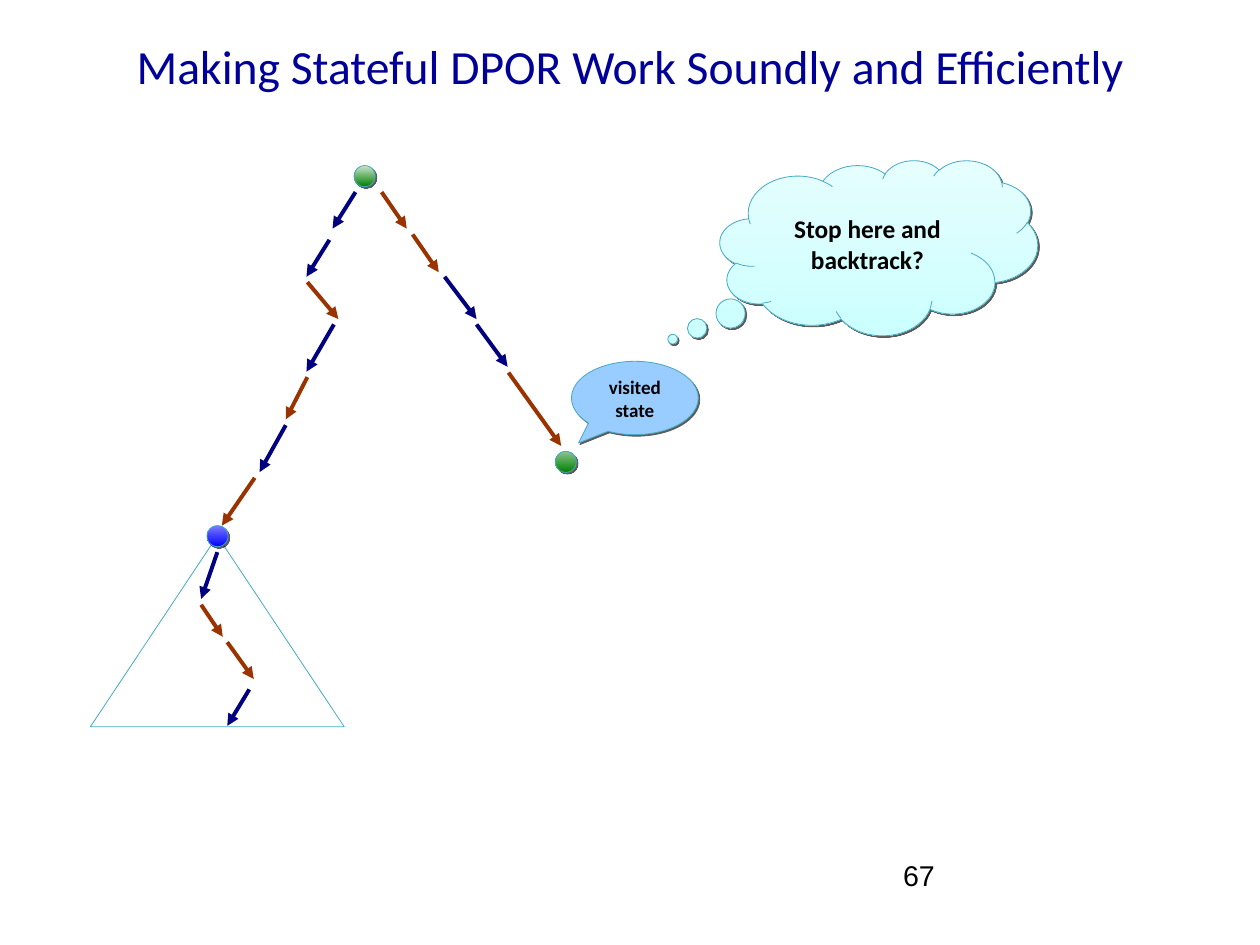
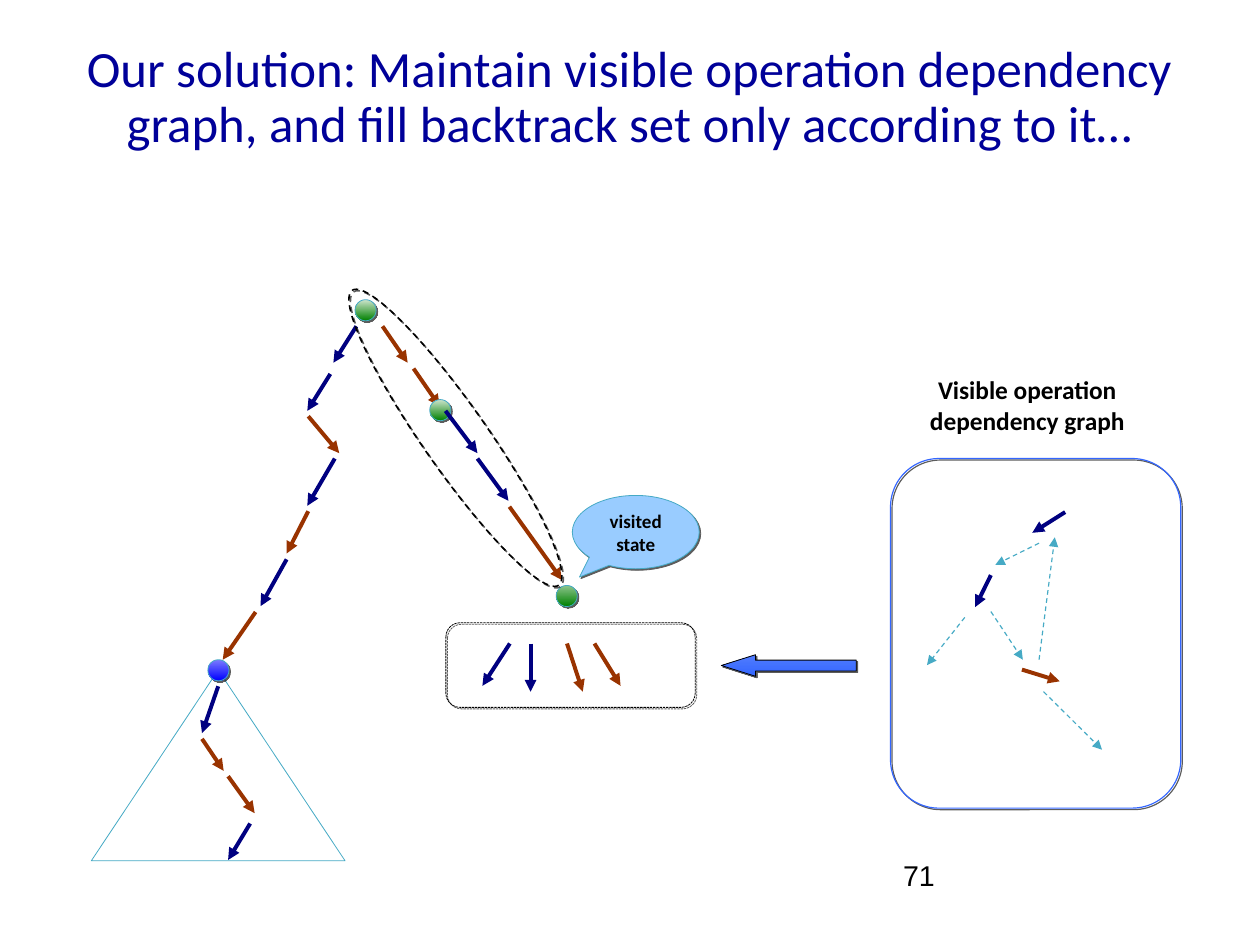
from lxml.etree import SubElement
from pptx import Presentation
from pptx.dml.color import RGBColor
from pptx.enum.dml import MSO_LINE as DASH
from pptx.enum.shapes import MSO_CONNECTOR, MSO_SHAPE as SHAPE
from pptx.enum.text import MSO_ANCHOR as ANCHOR, MSO_AUTO_SIZE, PP_ALIGN as ALIGN
from pptx.oxml.ns import qn
from pptx.util import Cm, Pt

COLORS = {
    "title": "000099", "text": "000000", "navy": "000080", "brown": "993300",
    "teal": "46AAC5", "blue": "3366FF", "speech": "99CCFF",
}
GRADIENTS = {
    "start": ("CDE5CD", "008000"), "visited": ("8DC58D", "008000"),
    "subtree": ("7C7CFE", "0000FF"), "cloud": ("E5FEFE", "CCFFFF"),
    "fill arrow": ("517CFE", "3366FF"),
}
DOT = 0.47

# Text styles: paragraph, font and frame values
FORMATS = {
    "title": ({"alignment": ALIGN.CENTER, "line_spacing": 0.9},
              {"name": "Calibri", "bold": False}, {"vertical_anchor": ANCHOR.TOP}),
    "label": ({"alignment": ALIGN.CENTER},
              {"name": "Calibri", "bold": True}, {"vertical_anchor": ANCHOR.MIDDLE}),
    "number": ({"alignment": ALIGN.LEFT, "line_spacing": 0.93},
               {"name": "Arial", "bold": False},
               {"margin_left": 0, "margin_right": 0, "margin_top": 0, "margin_bottom": 0}),
}

# The search tree: (color, x1, y1, x2, y2) in cm
BEFORE_MIDDLE = [
    ("brown", 8.48, 4.27, 9.04, 5.08), ("brown", 9.17, 5.21, 9.75, 6.05),
]
TREE_STEPS = [
    ("navy", 9.88, 6.15, 10.59, 7.09), ("navy", 10.59, 7.21, 11.28, 8.15),
    ("brown", 11.3, 8.28, 12.47, 9.91),
    ("navy", 7.9, 4.27, 7.39, 5.08), ("navy", 7.32, 5.33, 6.81, 6.15),
    ("brown", 6.83, 6.27, 7.52, 7.09), ("navy", 7.42, 7.21, 6.81, 8.26),
    ("brown", 6.83, 8.38, 6.35, 9.32), ("navy", 6.35, 9.45, 5.77, 10.49),
    ("brown", 5.66, 10.62, 4.93, 11.68), ("navy", 4.83, 12.27, 4.47, 13.31),
    ("brown", 4.47, 13.44, 4.95, 14.15), ("brown", 5.05, 14.27, 5.64, 15.09),
    ("navy", 5.54, 15.32, 5.05, 16.13),
]
TREE_STATES = [
    ("start", 7.87, 3.68), ("visited", 12.34, 10.03), ("subtree", 4.6, 11.68),
]
BACKTRACK_SET = [
    ("navy", 11.33, 14.3, 10.72, 15.24), ("navy", 11.79, 14.3, 11.79, 15.37),
    ("brown", 12.6, 14.3, 12.95, 15.37), ("brown", 13.21, 14.3, 13.79, 15.24),
]
OPERATIONS = [
    ("brown", 22.71, 14.88, 23.55, 15.14), ("navy", 23.67, 11.38, 22.94, 11.84),
    ("navy", 22.02, 12.78, 21.67, 13.49),
]
DEPENDENCIES = [
    ("teal", 23.09, 12.07, 22.12, 12.55), ("teal", 22.02, 13.59, 22.73, 14.66),
    ("teal", 23.09, 14.66, 23.44, 11.94), ("teal", 21.44, 13.72, 20.6, 14.78),
    ("teal", 23.19, 15.37, 24.49, 16.66),
]
# Title, its left edge, width, height and size; page number; tree offset; extra states
PAGES = [
    ("Making Stateful DPOR Work Soundly and Efficiently",
     (0.94, 26.14, 1.73), 30, "67", (0, 0), []),
    ("Our solution: Maintain visible operation dependency graph, "
     "and fill backtrack set only according to it…",
     (1.4, 25.2, 4.32), 32, "71", (0.02, 2.98), [("start", 9.53, 5.9)]),
]


def draw_arrows(slide, steps, dx=0, dy=0, weight=2.5, dash=None):
    for color, x1, y1, x2, y2 in steps:
        step = slide.shapes.add_connector(
            MSO_CONNECTOR.STRAIGHT, Cm(x1 + dx), Cm(y1 + dy), Cm(x2 + dx), Cm(y2 + dy))
        step.line.color.rgb = RGBColor.from_string(COLORS[color])
        step.line.width = Pt(weight)
        if dash:
            step.line.dash_style = dash
        SubElement(step.line._ln, qn("a:tailEnd"), type="triangle")
        SubElement(step._element.spPr, qn("a:effectLst"))


def draw_part(slide, kind, box, fill=None, line="teal", weight=0.5,
              adjust=(), dash=None, shadow=True):
    """Draw a preset shape; fill names a gradient or a plain color."""
    part = slide.shapes.add_shape(kind, *[Cm(length) for length in box])
    for index, value in enumerate(adjust):
        part.adjustments[index] = value
    if fill in GRADIENTS:
        part.fill.gradient()
        part.fill.gradient_angle = 270
        for stop, color in zip(part.fill.gradient_stops, GRADIENTS[fill]):
            stop.color.rgb = RGBColor.from_string(color)
    elif fill:
        part.fill.solid()
        part.fill.fore_color.rgb = RGBColor.from_string(COLORS[fill])
    else:
        part.fill.background()
    part.line.color.rgb = RGBColor.from_string(COLORS[line])
    part.line.width = Pt(weight)
    if dash:
        part.line.dash_style = dash
    part.shadow.inherit = False
    if shadow:
        effects = part._element.spPr.find(qn("a:effectLst"))
        outer = SubElement(effects, qn("a:outerShdw"), dist=str(Pt(1.4)),
                           dir="2700000", algn="ctr", rotWithShape="0")
        shade = SubElement(outer, qn("a:srgbClr"), val=COLORS["text"])
        SubElement(shade, qn("a:alpha"), val="64000")
    return part


deck = Presentation()
deck.slide_width, deck.slide_height = Cm(28), Cm(21)
texts = []

# What both slides show
for heading, (left, width, height), size, number, (dx, dy), extra_states in PAGES:
    slide = deck.slides.add_slide(deck.slide_layouts[5])
    title = slide.shapes.title
    title.left, title.top, title.width, title.height = (
        Cm(left), Cm(0.84), Cm(width), Cm(height))
    texts.append((title, heading, "title", size, "title"))

    draw_part(slide, SHAPE.ISOSCELES_TRIANGLE, (2.01 + dx, 11.91 + dy, 5.64, 4.24),
              shadow=False)
    draw_arrows(slide, BEFORE_MIDDLE, dx, dy)
    for state, x, y in TREE_STATES + extra_states:
        draw_part(slide, SHAPE.OVAL, (x + dx, y + dy, DOT, DOT), state)
    draw_arrows(slide, TREE_STEPS, dx, dy)

    visited = draw_part(slide, SHAPE.OVAL_CALLOUT, (12.7 + dx, 8.03 + dy, 2.82, 1.63),
                        "speech", adjust=(-0.444, 0.614))
    texts.append((visited, "visited state", "label", 12, "text"))
    page_number = slide.shapes.add_textbox(Cm(20.07), Cm(19.13), Cm(6.5), Cm(1.45))
    texts.append((page_number, number, "number", 18, "text"))

question_slide, solution_slide = deck.slides

# Question about stopping
question = draw_part(question_slide, SHAPE.CLOUD_CALLOUT, (16, 3.56, 7.06, 3.89),
                     "cloud", adjust=(-0.649, 0.523))
texts.append((question, "Stop here and backtrack?", "label", 16, "text"))

# Path to the visited state and the backtrack set
current_path = draw_part(solution_slide, SHAPE.OVAL, (6.12, 9.02, 8, 1.42),
                         line="text", weight=1, dash=DASH.DASH)
current_path.rotation = 55
draw_part(solution_slide, SHAPE.ROUNDED_RECTANGLE, (9.91, 13.84, 5.54, 1.88),
          line="text", adjust=(0.167,), dash=DASH.SQUARE_DOT)
draw_arrows(solution_slide, BACKTRACK_SET)
draw_part(solution_slide, SHAPE.LEFT_ARROW, (16.03, 14.55, 3, 0.48), "fill arrow",
          line="text", adjust=(0.5, 1.584))

# Dependency graph
draw_part(solution_slide, SHAPE.ROUNDED_RECTANGLE, (19.79, 10.19, 6.45, 7.77),
          line="blue", weight=0.75, adjust=(0.167,))
draw_arrows(solution_slide, OPERATIONS)
draw_arrows(solution_slide, DEPENDENCIES, weight=0.75, dash=DASH.DASH)
graph_label = solution_slide.shapes.add_textbox(Cm(19.3), Cm(8.18), Cm(7.06), Cm(1.63))
texts.append((graph_label, "Visible operation dependency graph", "label", 16, "text"))

for holder, words, style, size, color in texts:
    frame = holder.text_frame
    frame.text = words
    frame.word_wrap = True
    frame.auto_size = MSO_AUTO_SIZE.NONE
    paragraph = frame.paragraphs[0]
    font = paragraph.runs[0].font
    for target, values in zip((paragraph, font, frame), FORMATS[style]):
        for attribute, value in values.items():
            setattr(target, attribute, value)
    font.size = Pt(size)
    font.color.rgb = RGBColor.from_string(COLORS[color])

deck.save("out.pptx")
